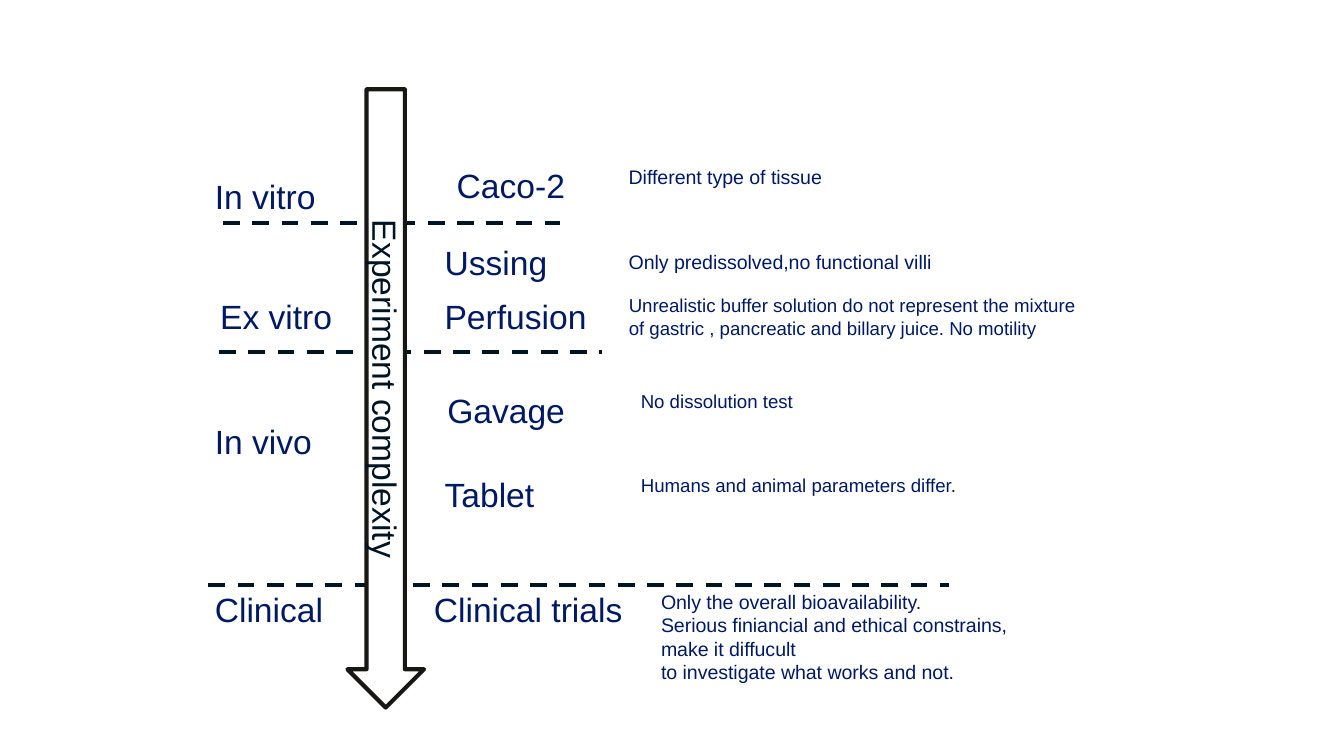
"""Build a slide that ranks absorption experiments by complexity."""
from dataclasses import dataclass
from lxml.etree import SubElement
from pptx import Presentation
from pptx.dml.color import RGBColor as Rgb
from pptx.enum.dml import MSO_LINE_DASH_STYLE as Dash
from pptx.enum.shapes import MSO_CONNECTOR as Connector, MSO_SHAPE as Shape
from pptx.enum.text import MSO_ANCHOR as Anchor, MSO_AUTO_SIZE as AutoSize, PP_ALIGN as Align
from pptx.oxml.ns import qn
from pptx.util import Inches, Pt


@dataclass(frozen=True)
class Theme:
    font: str = "Arial"
    label: Rgb = Rgb(0x00, 0x19, 0x65)
    ink: Rgb = Rgb(0x00, 0x14, 0x23)
    outline: Rgb = Rgb(0x19, 0x17, 0x13)
    paper: Rgb = Rgb(0xFF, 0xFF, 0xFF)
    heading: float = 18
    remark: float = 10.5
    small_remark: float = 10
    stroke: float = 2.25


THEME = Theme()
WIDTH = Inches(10)
HEIGHT = WIDTH * 9 // 16
COLUMNS, ROWS = 100, 56.25
LABEL_ROWS = 4

STAGES = [
    ("In vitro", 15, 12.6, 9.6),
    ("Ex vitro", 15.4, 21.5, 10.4),
    ("In vivo", 15, 30.8, 9.3),
    ("Clinical", 15, 43.3, 10.2),
]
METHODS = [
    ("Caco-2", 33, 11.8, 10.2),
    ("Ussing", 32.1, 17.5, 9.7),
    ("Perfusion", 32.1, 21.5, 12.7),
    ("Gavage", 32.3, 28.5, 10.9),
    ("Tablet", 32.1, 34.8, 8.8),
    ("Clinical trials", 31.3, 43.3, 16.2),
]
LIMITATIONS = [
    ("Different type of tissue", 45.8, 11.8, 16.7, 2.8, THEME.remark),
    ("Only predissolved,no functional villi ", 45.8, 18.1, 25.4, 2.8, THEME.remark),
    ("Unrealistic buffer solution do not represent the mixture\n"
     "of gastric , pancreatic and billary juice. No motility ",
     45.8, 21.4, 35.5, 4.4, THEME.small_remark),
    ("No dissolution test", 46.7, 28.5, 13.4, 2.7, THEME.small_remark),
    ("Humans and animal parameters differ.", 46.7, 34.8, 25.8, 2.7, THEME.small_remark),
]
TRIAL_LIMITATION = ("Only the overall bioavailability.\n"
                    "Serious finiancial and ethical constrains, make it diffucult\n"
                    "to investigate what works and not.")
DIVIDERS = [(16.6, 41.7, 16.6), (16.3, 44.8, 26.2), (15.5, 70.6, 43.5)]


def across(columns):
    """Turn grid columns into a slide length."""
    return round(WIDTH * columns / COLUMNS)


def down(rows):
    """Turn grid rows into a slide length."""
    return round(HEIGHT * rows / ROWS)


def write(frame, text, *, size, color=THEME.label, align=Align.LEFT,
          anchor=Anchor.TOP, wrap=False):
    """Fill a text frame, one paragraph per line of text."""
    frame.text = text
    frame.word_wrap = wrap
    frame.vertical_anchor = anchor
    for paragraph in frame.paragraphs:
        paragraph.alignment = align
        font = paragraph.runs[0].font
        font.name, font.size = THEME.font, Pt(size)
        font.color.rgb = color


def add_label(slide, text, left, top, width, height=LABEL_ROWS, size=THEME.heading, wrap=False):
    """Place a label that grows with its text."""
    label = slide.shapes.add_textbox(across(left), down(top), across(width), down(height))
    write(label.text_frame, text, size=size, wrap=wrap)
    label.text_frame.auto_size = AutoSize.SHAPE_TO_FIT_TEXT


def add_divider(slide, start, end, row):
    """Draw a dashed line between two stages."""
    divider = slide.shapes.add_connector(
        Connector.STRAIGHT, across(start), down(row), across(end), down(row))
    divider.line.color.rgb = THEME.ink
    divider.line.width = Pt(THEME.stroke)
    divider.line.dash_style = Dash.DASH
    SubElement(divider.element.spPr, qn("a:effectLst"))


def add_complexity_arrow(slide, text, left, top, length, thickness):
    """Draw the titled arrow, turned to point down."""
    arrow = slide.shapes.add_shape(
        Shape.RIGHT_ARROW, across(left), down(top), across(length), down(thickness))
    arrow.rotation = 90
    arrow.shadow.inherit = False
    arrow.fill.solid()
    arrow.fill.fore_color.rgb = THEME.paper
    arrow.line.color.rgb = THEME.outline
    arrow.line.width = Pt(THEME.stroke)
    write(arrow.text_frame, text, size=THEME.heading, color=THEME.ink,
          align=Align.CENTER, anchor=Anchor.MIDDLE, wrap=True)


def main():
    """Assemble and save the slide."""
    deck = Presentation()
    deck.slide_width, deck.slide_height = WIDTH, HEIGHT
    slide = deck.slides.add_slide(deck.slide_layouts[6])
    for divider in DIVIDERS:
        add_divider(slide, *divider)
    for label in STAGES + METHODS + LIMITATIONS:
        add_label(slide, *label)
    add_label(slide, TRIAL_LIMITATION, 48.2, 43.4, 29.2, 8.1, THEME.remark, wrap=True)
    add_complexity_arrow(slide, "Experiment complexity", 5.7, 26.8, 46, 5.7)
    deck.save("out.pptx")


main()
